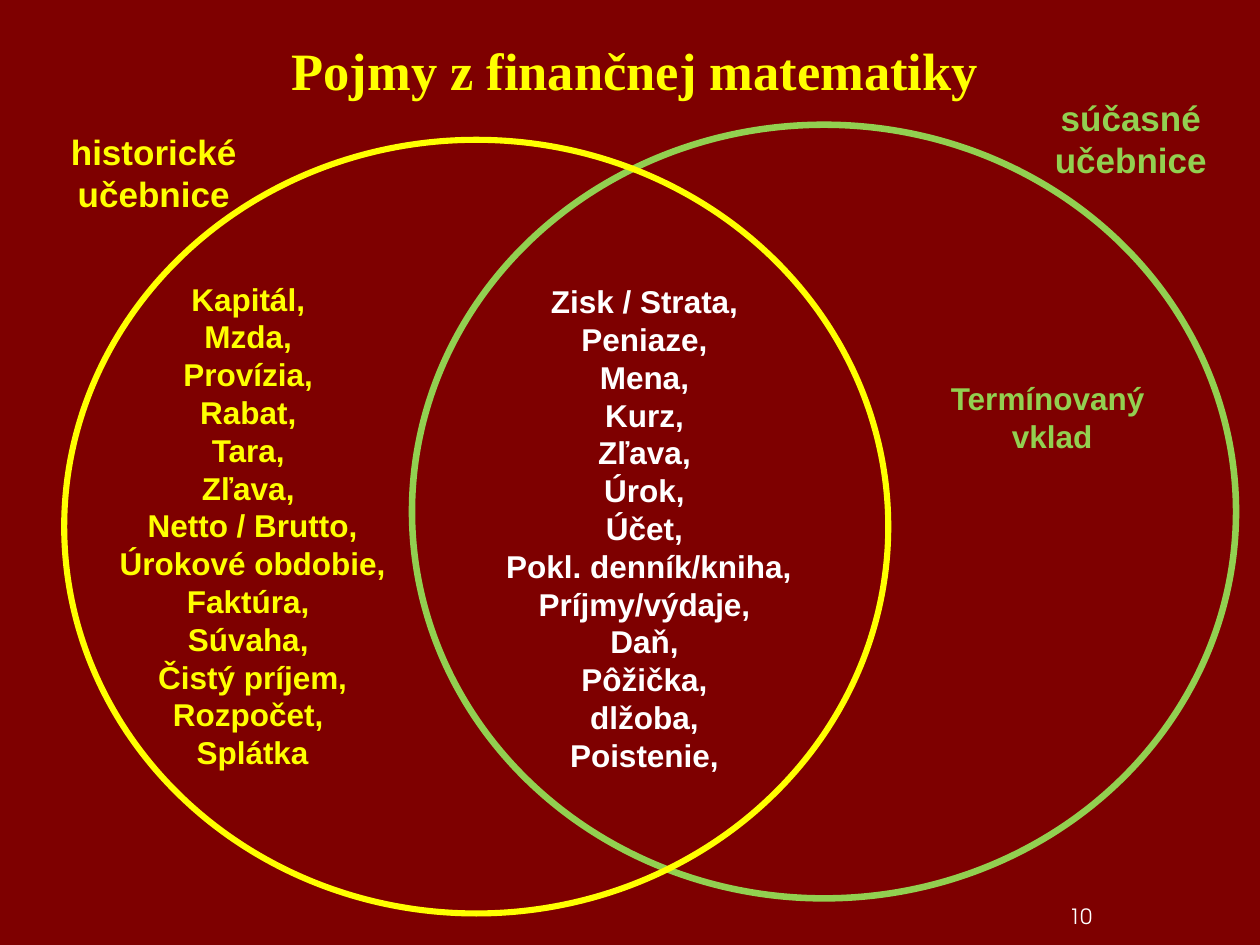
from dataclasses import dataclass

from pptx import Presentation
from pptx.dml.color import RGBColor
from pptx.enum.shapes import MSO_SHAPE
from pptx.enum.text import MSO_ANCHOR, PP_ALIGN
from pptx.slide import Slide
from pptx.text.text import TextFrame
from pptx.util import Inches, Pt

ELLIPSE = MSO_SHAPE.OVAL
CENTER = PP_ALIGN.CENTER
TOP = MSO_ANCHOR.TOP
BOTTOM = MSO_ANCHOR.BOTTOM

DARK_RED = "7E0000"
YELLOW = "FFFF00"
GREEN = "92D050"
WHITE = "FFFFFF"

CIRCLE_WIDTH = 6.54
CIRCLE_HEIGHT = 6.14


@dataclass(frozen=True)
class TextStyle:
    size: float
    color: str
    font: str = "Arial"
    bold: bool = True


@dataclass(frozen=True)
class Label:
    left: float
    top: float
    width: float
    height: float
    lines: tuple[str, ...]
    style: TextStyle
    anchor: MSO_ANCHOR = TOP
    wrap: bool = True


@dataclass(frozen=True)
class Circle:
    left: float
    top: float
    color: str
    line_width: float


TITLE = Label(0.67, 0.25, 8.74, 0.61, ("Pojmy z finančnej matematiky",),
              TextStyle(30, YELLOW, "Times New Roman"))

HISTORICAL_TERMS = (
    "Kapitál, ", "Mzda, ", "Provízia, ", "Rabat, ", "Tara, ", "Zľava, ",
    "Netto / Brutto, Úrokové obdobie, Faktúra, ", "Súvaha, ",
    "Čistý príjem, Rozpočet, ", "Splátka",
)
SHARED_TERMS = (
    "Zisk / Strata, ", "Peniaze, ", "Mena, ", "Kurz, ", "Zľava, ", "Úrok, ",
    "Účet, ", "Pokl. denník/kniha, Príjmy/výdaje, ", "Daň, ", "Pôžička, ",
    "dlžoba, ", "Poistenie, ",
)

LABELS = (
    Label(8.3, 7.09, 0.55, 0.33, ("10",),
          TextStyle(12, WHITE, "TeX Gyre Adventor", False), BOTTOM),
    Label(0.28, 0.99, 1.88, 0.77, ("historické", "učebnice"), TextStyle(20, YELLOW)),
    Label(0.74, 2.17, 2.53, 4.34, HISTORICAL_TERMS, TextStyle(18, YELLOW)),
    Label(3.77, 2.19, 2.76, 4.04, SHARED_TERMS, TextStyle(18, WHITE)),
    Label(7.95, 0.72, 2.05, 0.77, ("súčasné", "učebnice"), TextStyle(20, GREEN)),
    Label(7.44, 2.96, 1.75, 1.01, ("Termínovaný", " vklad"),
          TextStyle(18, GREEN), wrap=False),
)

CIRCLES = (
    Circle(3.27, 0.99, GREEN, 3.75),
    Circle(0.51, 1.11, YELLOW, 3.5),
)


def rgb(color: str) -> RGBColor:
    return RGBColor.from_string(color)


def write_text(text_frame: TextFrame, label: Label) -> None:
    text_frame.text = "\n".join(label.lines)
    text_frame.word_wrap = label.wrap
    text_frame.vertical_anchor = label.anchor
    for paragraph in text_frame.paragraphs:
        paragraph.alignment = CENTER
        for run in paragraph.runs:
            run.font.name = label.style.font
            run.font.size = Pt(label.style.size)
            run.font.bold = label.style.bold
            run.font.color.rgb = rgb(label.style.color)


def place_title(slide: Slide, label: Label) -> None:
    title = slide.shapes.title
    title.left, title.top = Inches(label.left), Inches(label.top)
    title.width, title.height = Inches(label.width), Inches(label.height)
    write_text(title.text_frame, label)


def add_label(slide: Slide, label: Label) -> None:
    box = slide.shapes.add_textbox(Inches(label.left), Inches(label.top),
                                   Inches(label.width), Inches(label.height))
    write_text(box.text_frame, label)


def add_circle(slide: Slide, circle: Circle) -> None:
    shape = slide.shapes.add_shape(ELLIPSE, Inches(circle.left), Inches(circle.top),
                                   Inches(CIRCLE_WIDTH), Inches(CIRCLE_HEIGHT))
    shape.shadow.inherit = False
    shape.fill.background()
    shape.line.color.rgb = rgb(circle.color)
    shape.line.width = Pt(circle.line_width)


def main() -> None:
    presentation = Presentation()
    presentation.slide_width = Inches(10)
    presentation.slide_height = Inches(7.5)
    slide = presentation.slides.add_slide(presentation.slide_layouts[5])
    slide.background.fill.solid()
    slide.background.fill.fore_color.rgb = rgb(DARK_RED)

    place_title(slide, TITLE)
    for label in LABELS:
        add_label(slide, label)
    for circle in CIRCLES:
        add_circle(slide, circle)

    presentation.save("out.pptx")


if __name__ == "__main__":
    main()
